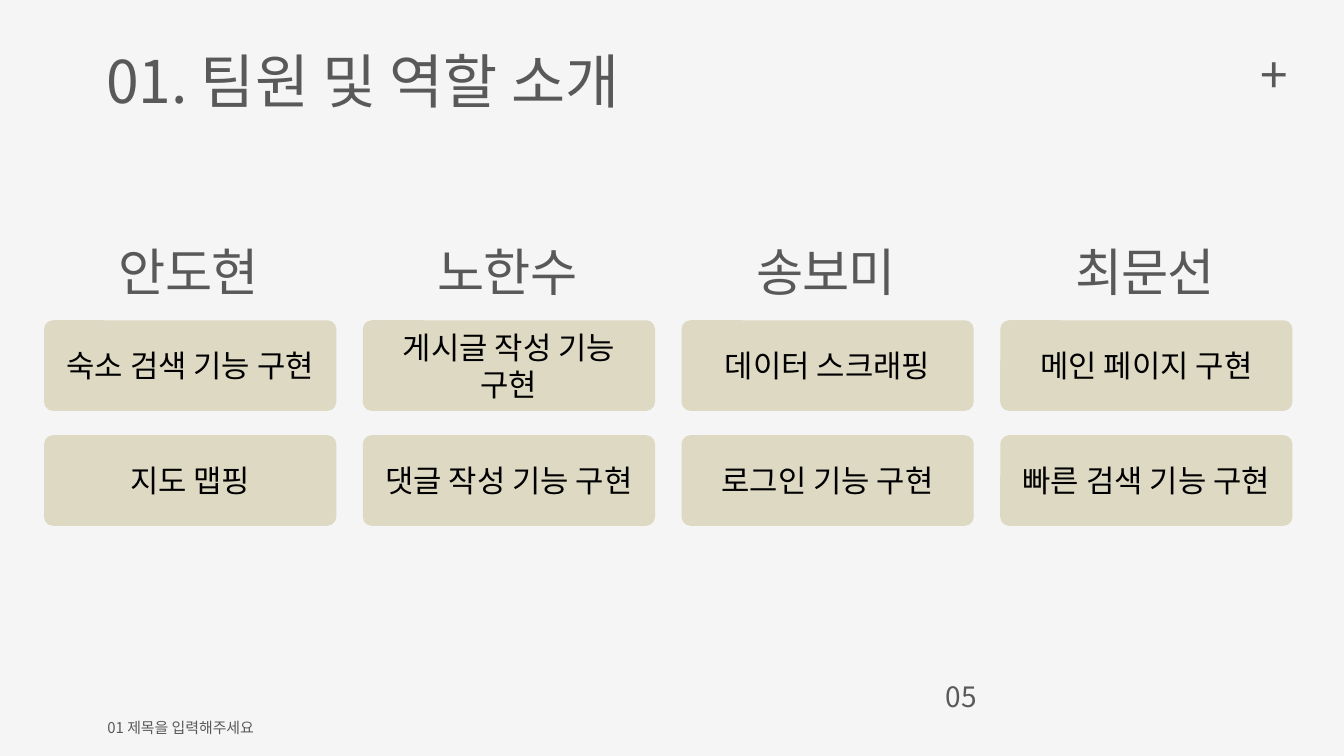
from pptx import Presentation
from pptx.dml.color import RGBColor
from pptx.enum import shapes, text
from pptx.oxml import ns
from pptx.util import Inches, Pt
from lxml import etree

FONT = "Noto Sans CJK KR"
PAPER = RGBColor(0xF5, 0xF5, 0xF5)
GRAY = RGBColor(0x59, 0x59, 0x59)
BEIGE = RGBColor(0xDD, 0xD9, 0xC3)
BLACK = RGBColor(0, 0, 0)
CENTER = text.PP_ALIGN.CENTER
JUSTIFY = text.PP_ALIGN.JUSTIFY

LEFT, COLUMN_STEP = 0.67, 4.743
CARD_TOP, ROW_STEP = 4.78, 1.71
MEMBERS = [
    ("안도현", ["숙소 검색 기능 구현", "지도 맵핑"]),
    ("노한수", ["게시글 작성 기능 구현", "댓글 작성 기능 구현"]),
    ("송보미", ["데이터 스크래핑", "로그인 기능 구현"]),
    ("최문선", ["메인 페이지 구현", "빠른 검색 기능 구현"]),
]


def place(shape, left, top, width, height):
    """Set the position and size of a shape in inches."""
    shape.left, shape.top = Inches(left), Inches(top)
    shape.width, shape.height = Inches(width), Inches(height)


def write(shape, words, size, color, align, anchor=text.MSO_ANCHOR.TOP, spacing=None):
    """Write one formatted paragraph into a shape."""
    frame = shape.text_frame
    frame.word_wrap = True
    frame.auto_size = text.MSO_AUTO_SIZE.NONE
    frame.vertical_anchor = anchor
    para = frame.paragraphs[0]
    para.alignment = align
    span = para.add_run()
    span.text = words
    span.font.size = Pt(size)
    span.font.name = FONT
    span.font.color.rgb = color
    properties = span.font._element
    etree.SubElement(properties, ns.qn("a:ea")).set("typeface", FONT)
    if spacing is not None:
        properties.set("spc", str(spacing * 100))


def add_label(page, words, bounds, size, align=CENTER, spacing=None):
    """Add a gray text box."""
    box = page.shapes.add_textbox(*map(Inches, bounds))
    write(box, words, size, GRAY, align, spacing=spacing)


def add_card(page, words, left, top):
    """Add a rounded card naming one task."""
    card = page.shapes.add_shape(
        shapes.MSO_SHAPE.ROUNDED_RECTANGLE,
        Inches(left), Inches(top), Inches(4.32), Inches(1.32))
    card.adjustments[0] = 0.09
    card.shadow.inherit = False
    card.fill.solid()
    card.fill.fore_color.rgb = BEIGE
    card.line.color.rgb = BEIGE
    card.line.width = Pt(2)
    write(card, words, 33, BLACK, CENTER, text.MSO_ANCHOR.MIDDLE)


def add_member(page, name, tasks, left):
    """Add a team member's name above a column of task cards."""
    add_label(page, name, (left + 1, 3.52, 3.52, 0.86), 55, JUSTIFY, spacing=-1)
    for row, task in enumerate(tasks):
        add_card(page, task, left, CARD_TOP + row * ROW_STEP)


def main():
    """Build the team roles slide."""
    deck = Presentation()
    deck.slide_width, deck.slide_height = Inches(20), Inches(11.25)
    page = deck.slides.add_slide(deck.slide_layouts[5])
    page.background.fill.solid()
    page.background.fill.fore_color.rgb = PAPER
    title = page.shapes.title
    place(title, 1.48, 0.61, 11.19, 1.58)
    write(title, "01. 팀원 및 역할 소개", 63, GRAY, JUSTIFY)
    add_label(page, "+", (18.56, 0.6, 0.81, 1.34), 53)
    for column, (name, tasks) in enumerate(MEMBERS):
        add_member(page, name, tasks, LEFT + column * COLUMN_STEP)
    add_label(page, "05", (13.71, 10.06, 1.19, 0.75), 30)
    add_label(page, "01 제목을 입력해주세요", (1.5, 10.65, 4.56, 0.4), 16, JUSTIFY)
    deck.save("out.pptx")


if __name__ == "__main__":
    main()
